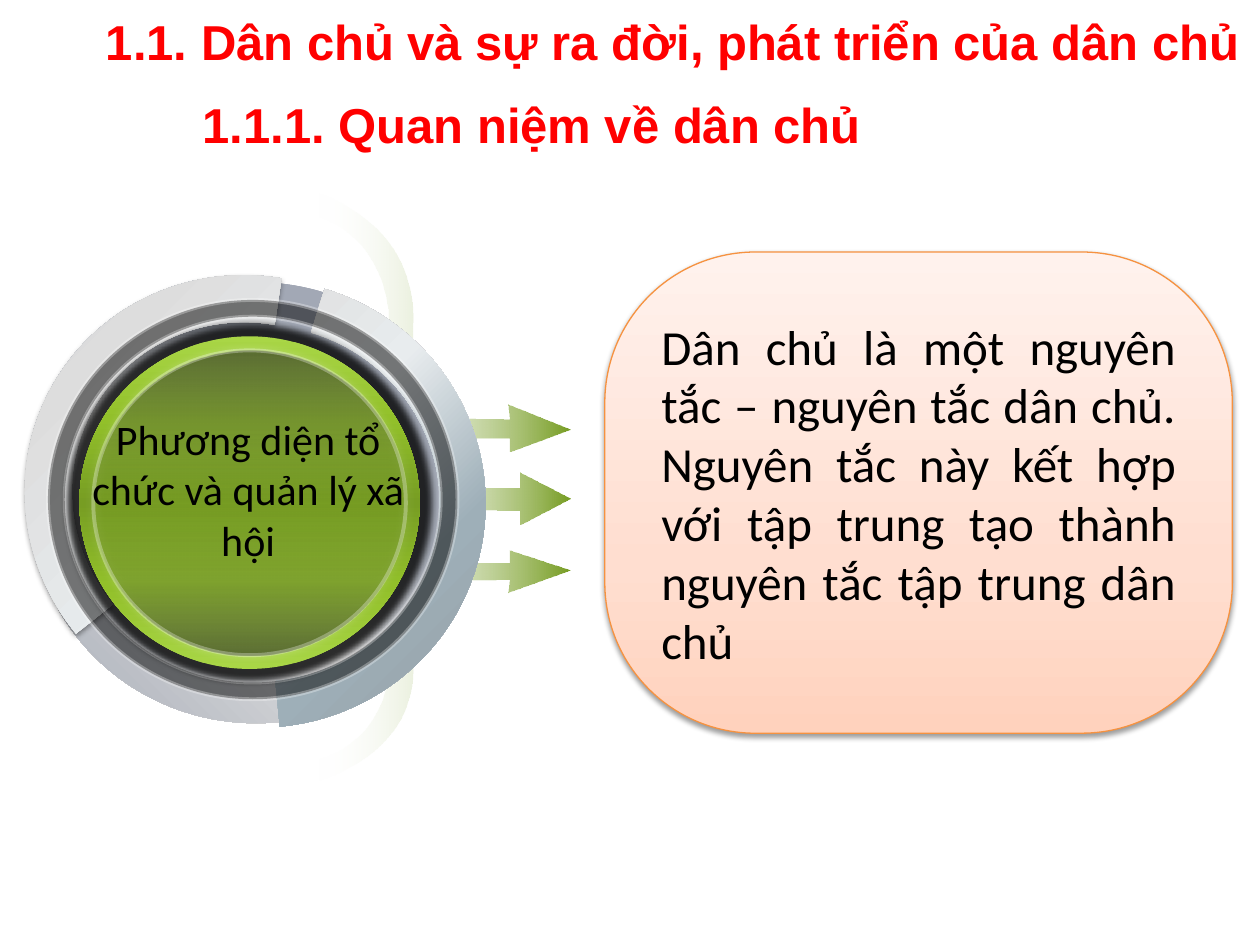
from dataclasses import dataclass

from lxml.etree import SubElement
from pptx import Presentation
from pptx.dml.color import RGBColor
from pptx.enum.shapes import MSO_SHAPE
from pptx.enum.text import MSO_ANCHOR, MSO_AUTO_SIZE, PP_ALIGN
from pptx.oxml.ns import qn
from pptx.util import Pt


@dataclass(frozen=True)
class Theme:
    heading_font: str = "Arial"
    body_font: str = "Calibri"
    large: int = 28
    medium: int = 24
    red: str = "FF0000"
    black: str = "000000"
    white: str = "FFFFFF"
    orange: str = "F69240"
    # Gradient stops: position, colour, opacity in percent
    arrow: tuple = ((0, "FFFFFF", 0), (100, "779D23", 100))
    peach: tuple = ((0, "FFD2BD", 100), (35, "FFDED0", 100), (100, "FFF2ED", 100))
    ring: tuple = ((0, "9DA3B1", 100), (35, "A5ABB7", 100),
                   (58, "DDDDDD", 100), (100, "A5ABB7", 100))
    steel: tuple = ((0, "959FA5", 100), (25, "9EAFB8", 100), (50, "E8ECEE", 100),
                    (75, "DDDDDD", 100), (100, "9DA3B1", 100))
    green: tuple = ((0, "A9D646", 100), (25, "92C02A", 100), (50, "779D23", 100),
                    (75, "92C02A", 100), (100, "A9D646", 100))
    shade: tuple = ((0, "000000", 50), (25, "000000", 23), (50, "000000", 0),
                    (75, "000000", 16), (100, "000000", 50))


THEME = Theme()
UNITS_PER_POINT = 100

# The first step is the start; a later one is an end point,
# or two control points and an end point
BENT_ARROW = [
    [(181.5, 110)],
    [(181.5, 110), (240, 127), (236, 187)],
    [(236, 207), (236, 226), (236, 226)],
    [(236, 226), (236, 239), (249, 238.5)],
    [(270, 238.5), (291, 239), (291, 239)],
    [(290, 230.5)], [(326, 245)], [(291, 258)], [(291, 250)],
    [(291, 250), (267, 250), (243, 250)],
    [(225, 248.5), (222.5, 234), (222.5, 234)],
    [(219, 222), (223, 205), (222, 177)],
    [(216, 132), (181.5, 124), (181.5, 124)],
]
STRAIGHT_ARROW = [[(192, 278)], [(297, 279)], [(297, 270)], [(326, 285)],
                  [(297, 300)], [(297, 292)], [(192, 291)]]


def add_alpha(color_element, opacity):
    SubElement(color_element, qn("a:alpha"), val=str(opacity * 1000))


def add_color(parent, color, opacity):
    add_alpha(SubElement(parent, qn("a:srgbClr"), val=color), opacity)


def fill_gradient(shape, stops, angle=None):
    """Linear at the given angle, or circular from the far corner without one."""
    shape.fill.gradient()
    gradient = shape.element.spPr.find(qn("a:gradFill"))
    for child in list(gradient):
        gradient.remove(child)
    stop_list = SubElement(gradient, qn("a:gsLst"))
    for position, color, opacity in stops:
        stop = SubElement(stop_list, qn("a:gs"), pos=str(position * 1000))
        add_color(stop, color, opacity)
    if angle is None:
        circle = SubElement(gradient, qn("a:path"), path="circle")
        SubElement(circle, qn("a:fillToRect"), l="100000", t="100000")
    else:
        SubElement(gradient, qn("a:lin"), ang=str(angle * 60000), scaled="0")


def fill_solid(shape, color, opacity):
    shape.fill.solid()
    shape.fill.fore_color.rgb = RGBColor.from_string(color)
    add_alpha(shape.element.spPr.find(qn("a:solidFill"))[0], opacity)


def set_line(shape, color, width, opacity=100):
    shape.line.color.rgb = RGBColor.from_string(color)
    shape.line.width = Pt(width)
    line = shape.element.spPr.find(qn("a:ln"))
    add_alpha(line.find(qn("a:solidFill"))[0], opacity)


def set_shadow(shape, color, opacity, blur, distance=0, angle=90, scale=100):
    effects = shape.element.spPr.find(qn("a:effectLst"))
    shadow = SubElement(
        effects, qn("a:outerShdw"), blurRad=str(Pt(blur)), dist=str(Pt(distance)),
        dir=str(angle * 60000), sx=str(scale * 1000), sy=str(scale * 1000),
        algn="ctr", rotWithShape="0")
    add_color(shadow, color, opacity)


def add_plain_shape(slide, kind, box, adjustments=()):
    shape = slide.shapes.add_shape(kind, *map(Pt, box))
    for index, value in enumerate(adjustments):
        shape.adjustments[index] = value
    shape.shadow.inherit = False
    shape.line.fill.background()
    return shape


def add_block_arc(slide, box, rotation, adjustments):
    arc = add_plain_shape(slide, MSO_SHAPE.BLOCK_ARC, box, adjustments)
    arc.rotation = rotation
    fill_gradient(arc, THEME.steel)
    return arc


def bend_segments(shape, steps, left, top):
    """Turn each straight segment that has control points into a curve."""
    contour = next(shape.element.iter(qn("a:path")))
    for segment, step in zip(contour.findall(qn("a:lnTo")), steps):
        if len(step) == 3:
            curve = SubElement(contour, qn("a:cubicBezTo"))
            for x, y in step:
                SubElement(curve, qn("a:pt"), x=str(round(x - left)), y=str(round(y - top)))
            contour.replace(segment, curve)


def add_arrow(slide, steps):
    scaled = [[(x * UNITS_PER_POINT, y * UNITS_PER_POINT) for x, y in step]
              for step in steps]
    corners = [step[-1] for step in scaled]
    builder = slide.shapes.build_freeform(*corners[0], scale=Pt(1) / UNITS_PER_POINT)
    builder.add_line_segments(corners[1:], close=True)
    arrow = builder.convert_to_shape()
    left, top = (min(values) for values in zip(*corners))
    bend_segments(arrow, scaled[1:], left, top)
    arrow.shadow.inherit = False
    arrow.line.fill.background()
    fill_gradient(arrow, THEME.arrow, 0)


def write_text(shape, text, font, size, color, alignment, bold=False):
    shape.text_frame.word_wrap = True
    paragraph = shape.text_frame.paragraphs[0]
    paragraph.alignment = alignment
    run = paragraph.add_run()
    run.text = text
    run.font.name = font
    run.font.size = Pt(size)
    run.font.bold = bold
    run.font.color.rgb = RGBColor.from_string(color)
    return paragraph


def format_heading(shape, box, text):
    shape.left, shape.top, shape.width, shape.height = map(Pt, box)
    paragraph = write_text(shape, text, THEME.heading_font, THEME.large,
                           THEME.red, PP_ALIGN.JUSTIFY, bold=True)
    paragraph.line_spacing = Pt(23)
    paragraph.space_before = Pt(3)
    paragraph._p.get_or_add_pPr().set("indent", str(Pt(36)))
    shape.text_frame.vertical_anchor = MSO_ANCHOR.TOP
    shape.text_frame.auto_size = MSO_AUTO_SIZE.SHAPE_TO_FIT_TEXT


def add_arrows(slide):
    mirrored = [[(x, 326.2 - 0.89 * (y - 244.8)) for x, y in step]
                for step in BENT_ARROW]
    for steps in (BENT_ARROW, mirrored, STRAIGHT_ARROW):
        add_arrow(slide, steps)


def add_principle_box(slide):
    box = add_plain_shape(slide, MSO_SHAPE.ROUNDED_RECTANGLE,
                          (345.6, 144, 358.6, 275), (0.313,))
    fill_gradient(box, THEME.peach, 270)
    set_line(box, THEME.orange, 0.75)
    set_shadow(box, THEME.black, 38, 3.1, 1.6)
    box.text_frame.vertical_anchor = MSO_ANCHOR.MIDDLE
    write_text(box, "Dân chủ là một nguyên tắc – nguyên tắc dân chủ. Nguyên tắc này "
               "kết hợp với tập trung tạo thành nguyên tắc tập trung dân chủ",
               THEME.body_font, THEME.large, THEME.black, PP_ALIGN.JUSTIFY)


def add_dial(slide):
    ring = add_plain_shape(slide, MSO_SHAPE.OVAL, (17.3, 161.3, 257.8, 252))
    fill_gradient(ring, THEME.ring, 135)
    left_arc = add_block_arc(slide, (16.6, 154.8, 251.3, 257.8), 300.4,
                             (120.71, 202.87, 0.107))
    set_shadow(left_arc, THEME.black, 38, 3.1, 1.6)
    add_block_arc(slide, (19.4, 157.7, 256.3, 259.9), 270, (10.31, 104.69, 0.102))

    groove = add_plain_shape(slide, MSO_SHAPE.DONUT, (27.4, 171.4, 234, 228.2), (0.042,))
    fill_solid(groove, THEME.black, 50)
    set_line(groove, THEME.white, 2.25, 30)

    disc = add_plain_shape(slide, MSO_SHAPE.OVAL, (45.4, 192.2, 194.4, 190.1))
    fill_gradient(disc, THEME.green, 90)
    set_shadow(disc, THEME.black, 80, 4, scale=107)
    face = add_plain_shape(slide, MSO_SHAPE.OVAL, (53.3, 200.2, 178.6, 174.2))
    fill_gradient(face, THEME.shade, 90)
    set_line(face, THEME.white, 2.25, 30)
    set_shadow(face, THEME.white, 40, 5)

    label = slide.shapes.add_textbox(*map(Pt, (33.1, 232.6, 217.4, 90)))
    write_text(label, "Phương diện tổ chức và quản lý xã hội", THEME.body_font,
               THEME.medium, THEME.black, PP_ALIGN.CENTER)
    label.text_frame.auto_size = MSO_AUTO_SIZE.SHAPE_TO_FIT_TEXT


def main():
    presentation = Presentation()
    presentation.slide_width, presentation.slide_height = Pt(720), Pt(540)
    slide = presentation.slides.add_slide(presentation.slide_layouts[5])
    add_arrows(slide)
    add_principle_box(slide)
    add_dial(slide)
    format_heading(slide.shapes.title, (17.3, 13.7, 715.7, 30.2),
                   "1.1. Dân chủ và sự ra đời, phát triển của dân chủ")
    subheading = slide.shapes.add_textbox(0, 0, 0, 0)
    format_heading(subheading, (72.7, 60.8, 452.2, 30.2), "1.1.1. Quan niệm về dân chủ")
    presentation.save("out.pptx")


if __name__ == "__main__":
    main()
